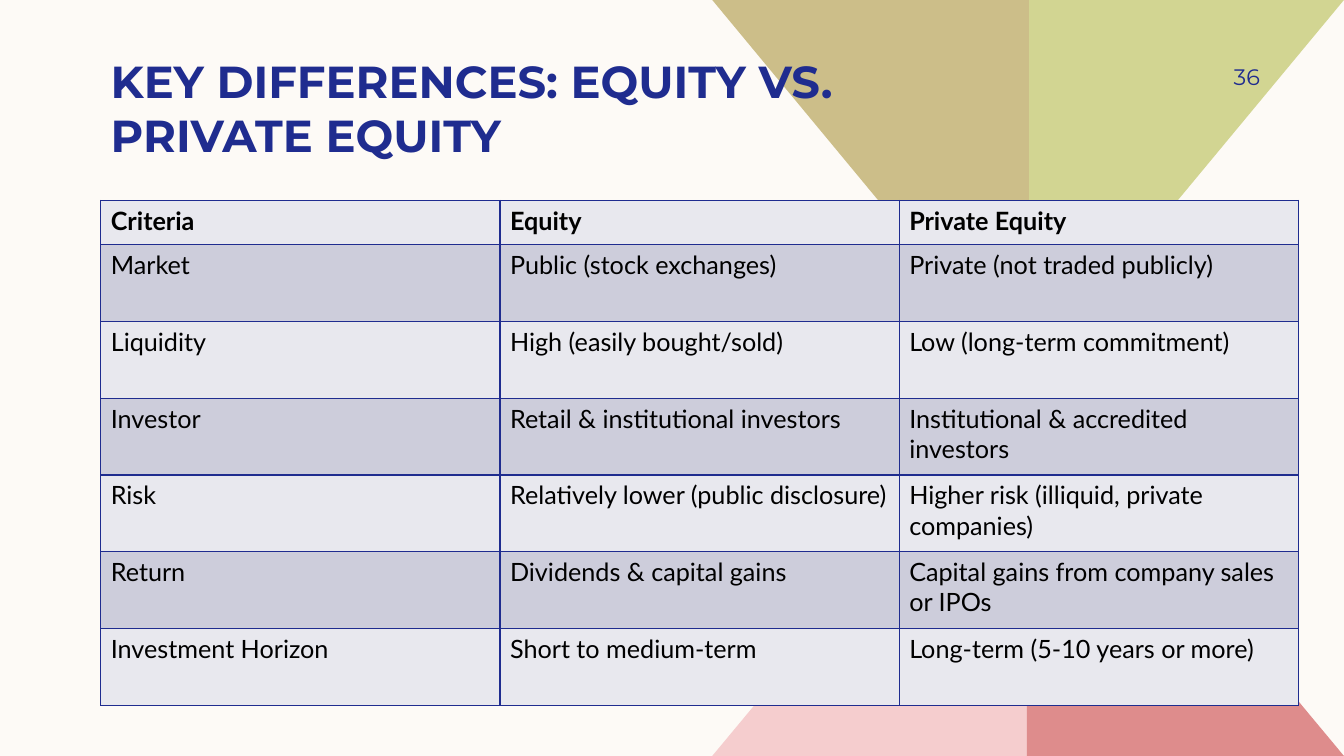
from pptx import Presentation
from pptx.dml.color import RGBColor
from pptx.enum.text import MSO_ANCHOR, MSO_AUTO_SIZE, PP_ALIGN
from pptx.oxml import parse_xml
from pptx.oxml.ns import nsdecls
from pptx.util import Cm, Pt

COLOURS = {
    "background": "FDFAF6", "navy": "1F2C8F", "black": "000000",
    "pink": "F5CDCE", "red": "DE8C8C", "green": "D2D592", "tan": "CCBE89",
    "light row": "E8E8EE", "dark row": "CDCDDB",
}
PAGE_WIDTH, PAGE_HEIGHT = 33.87, 19.05
ROWS = [
    ("Criteria", "Equity", "Private Equity"),
    ("Market", "Public (stock exchanges)", "Private (not traded publicly)"),
    ("Liquidity", "High (easily bought/sold)", "Low (long-term commitment)"),
    ("Investor", "Retail & institutional investors",
     "Institutional & accredited investors"),
    ("Risk", "Relatively lower (public disclosure)",
     "Higher risk (illiquid, private companies)"),
    ("Return", "Dividends & capital gains",
     "Capital gains from company sales or IPOs"),
    ("Investment Horizon", "Short to medium-term",
     "Long-term (5-10 years or more)"),
]


def colour(name):
    return RGBColor.from_string(COLOURS[name])


def apply(target, formats):
    for name, value in formats.items():
        setattr(target, name, value)


def write(frame, text, size, font, ink, bold=False, align=PP_ALIGN.LEFT):
    para = frame.paragraphs[0]
    para.alignment = align
    span = para.add_run()
    span.text = text
    apply(span.font, {"size": Pt(size), "name": font, "bold": bold})
    span.font.color.rgb = colour(ink)


def add_triangle(page, corners, fill):
    points = [(Cm(x), Cm(y)) for x, y in corners]
    builder = page.shapes.build_freeform(*points[0], scale=1.0)
    builder.add_line_segments(points[1:], close=True)
    triangle = builder.convert_to_shape()
    triangle.shadow.inherit = False
    triangle.fill.solid()
    triangle.fill.fore_color.rgb = colour(fill)
    triangle.line.fill.background()


def add_backdrop(page, left, right):
    """Two pairs of triangles, rising from the bottom and hanging from the top."""
    middle_left, middle_right = 25.88, 25.93
    for apex, base, halves in (
        (9.45, PAGE_HEIGHT, ((left, middle_right, "pink"), (right, middle_left, "red"))),
        (9.63, 0, ((right, middle_left, "green"), (left, middle_right, "tan"))),
    ):
        for outer, middle, fill in halves:
            add_triangle(page, [(middle, apex), (outer, base), (middle, base)], fill)


def add_title(page, left, top, width, height):
    title = page.shapes.title
    apply(title, {"left": Cm(left), "top": Cm(top),
                  "width": Cm(width), "height": Cm(height)})
    apply(title.text_frame, {
        "word_wrap": True, "auto_size": MSO_AUTO_SIZE.NONE,
        "vertical_anchor": MSO_ANCHOR.BOTTOM,
        "margin_left": Cm(0.25), "margin_right": Cm(0.25),
        "margin_top": 0, "margin_bottom": 0,
    })
    write(title.text_frame, "KEY DIFFERENCES: EQUITY VS. PRIVATE EQUITY",
          32, "Montserrat", "navy", bold=True)


def add_borders(cell):
    properties = cell._tc.get_or_add_tcPr()
    for index, side in enumerate(("lnL", "lnR", "lnT", "lnB")):
        properties.insert(index, parse_xml(
            f'<a:{side} {nsdecls("a")} w="{Pt(1)}"><a:solidFill>'
            f'<a:srgbClr val="{COLOURS["navy"]}"/></a:solidFill></a:{side}>'))


def add_comparison(page, left, top, width, height):
    header_height = 1.11
    box = [Cm(length) for length in (left, top, width, height)]
    table = page.shapes.add_table(len(ROWS), len(ROWS[0]), *box).table
    apply(table, {"first_row": False, "horz_banding": False})
    for column in table.columns:
        column.width = Cm(width / len(ROWS[0]))
    body_height = (height - header_height) / (len(ROWS) - 1)
    for index, texts in enumerate(ROWS):
        table.rows[index].height = Cm(body_height if index else header_height)
        for cell, text in zip(table.rows[index].cells, texts):
            cell.fill.solid()
            cell.fill.fore_color.rgb = colour("dark row" if index % 2 else "light row")
            add_borders(cell)
            write(cell.text_frame, text, 18, "Lato", "black", bold=index == 0)


def add_page_number(page, left, top, width, height):
    box = page.shapes.add_textbox(Cm(left), Cm(top), Cm(width), Cm(height))
    apply(box.text_frame, {"word_wrap": True, "margin_right": 0,
                           "vertical_anchor": MSO_ANCHOR.MIDDLE})
    write(box.text_frame, "36", 16, "Montserrat", "navy", align=PP_ALIGN.RIGHT)


def main():
    deck = Presentation()
    apply(deck, {"slide_width": Cm(PAGE_WIDTH), "slide_height": Cm(PAGE_HEIGHT)})
    page = deck.slides.add_slide(deck.slide_layouts[5])
    page.background.fill.solid()
    page.background.fill.fore_color.rgb = colour("background")

    # Backdrop
    add_backdrop(page, 17.95, PAGE_WIDTH)
    # Heading, lifted above the backdrop
    add_title(page, 2.54, 1.27, 23.14, 2.79)
    page.shapes._spTree.append(page.shapes.title._element)
    # Comparison table
    add_comparison(page, 2.54, 5.05, 30.18, 12.73)
    # Page number
    add_page_number(page, 28.78, 1.27, 2.97, 1.32)

    deck.save("out.pptx")


if __name__ == "__main__":
    main()
